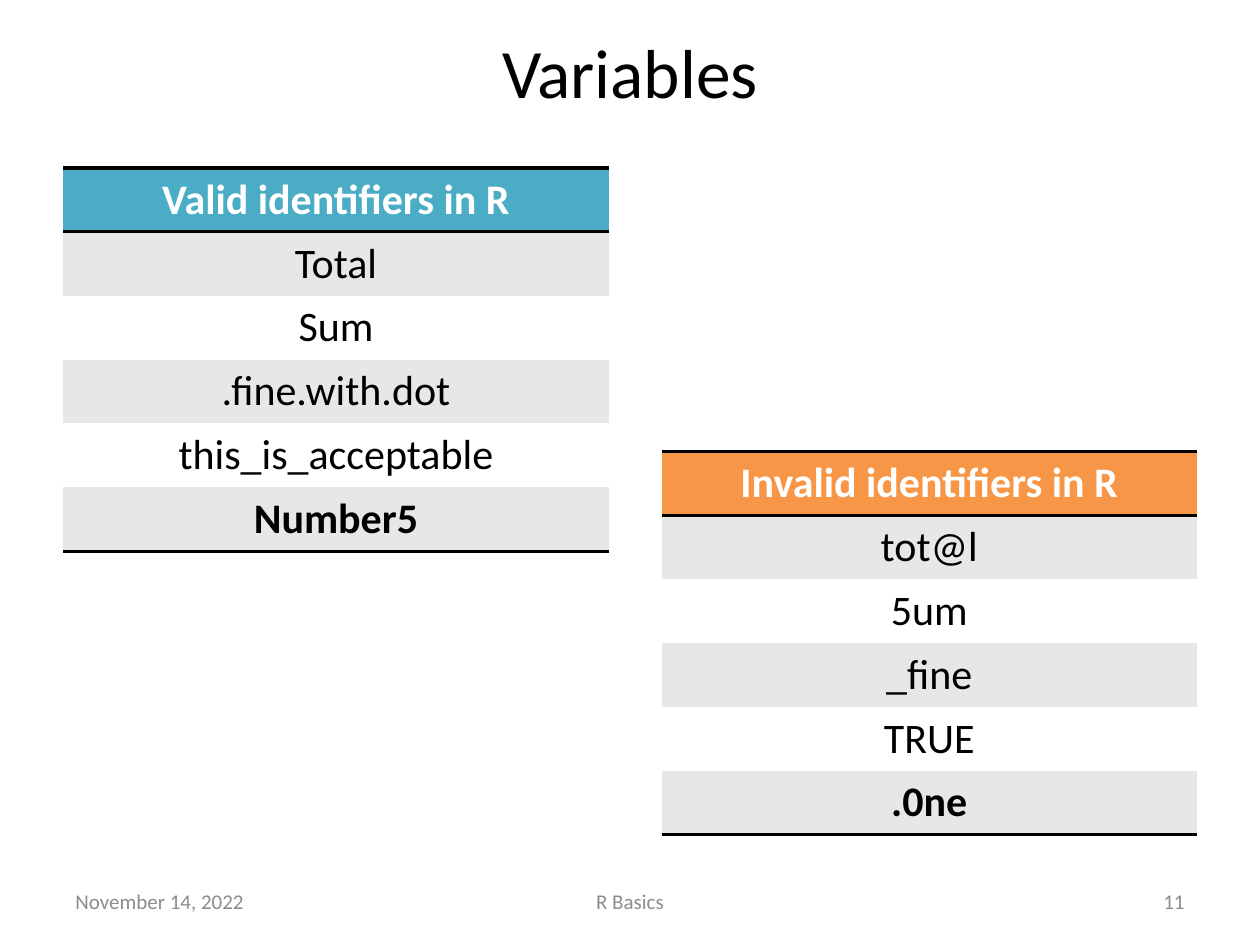
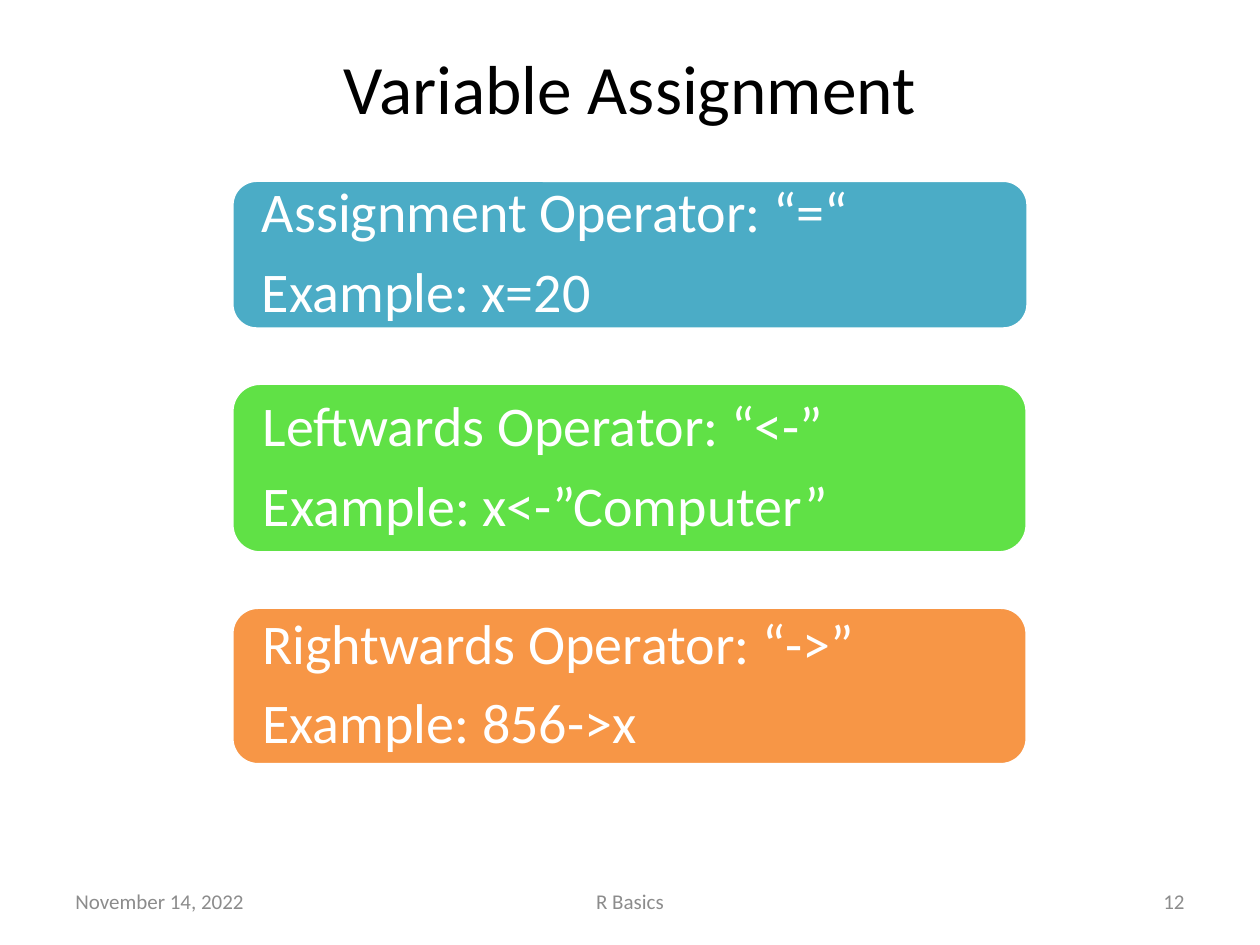
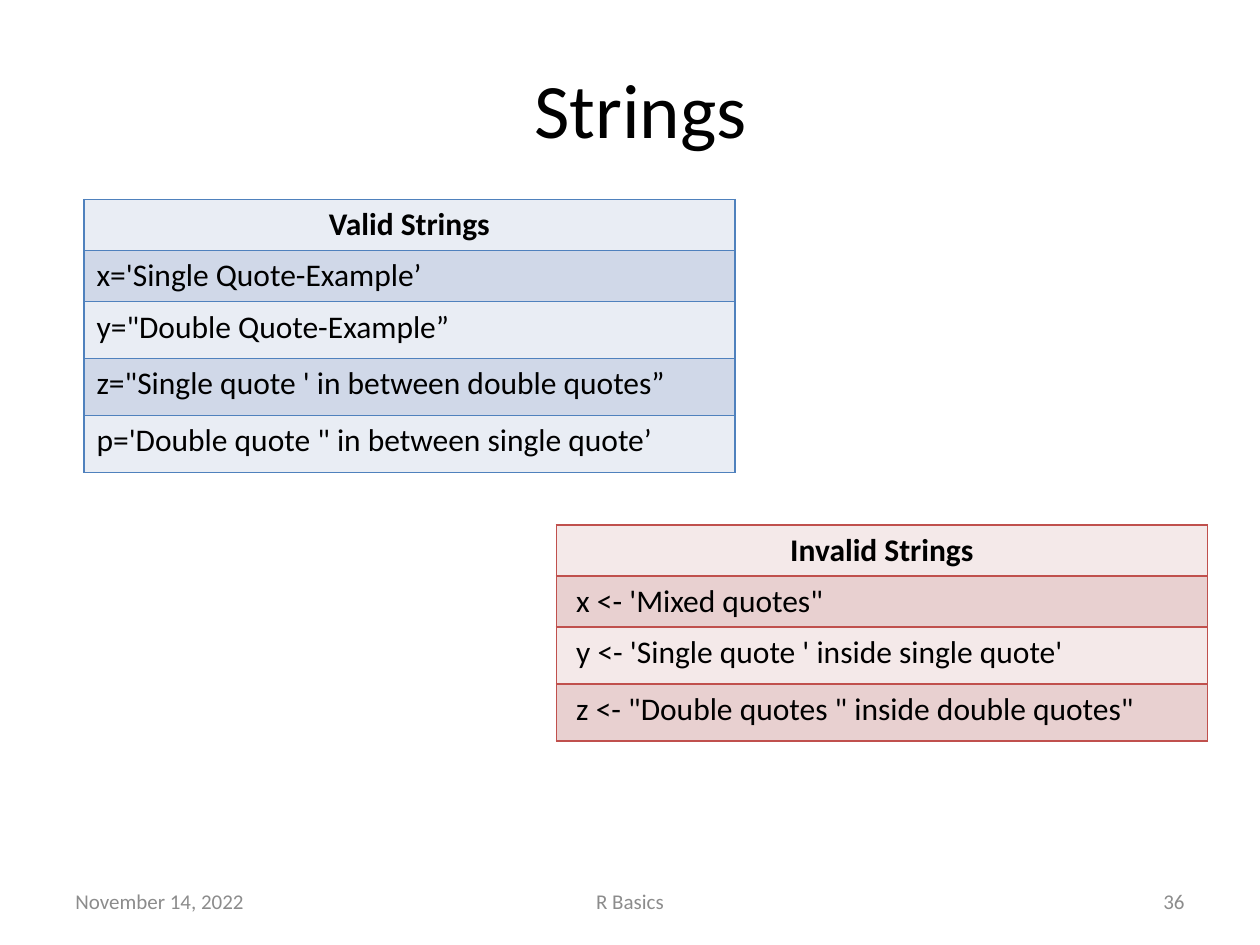
from lxml import etree
from pptx import Presentation
from pptx.dml.color import RGBColor
from pptx.enum.shapes import MSO_SHAPE
from pptx.enum.text import MSO_ANCHOR, PP_ALIGN
from pptx.oxml.ns import qn
from pptx.util import Pt

LEFT, CENTER, RIGHT = PP_ALIGN.LEFT, PP_ALIGN.CENTER, PP_ALIGN.RIGHT
MIDDLE = MSO_ANCHOR.MIDDLE
ROUNDED = MSO_SHAPE.ROUNDED_RECTANGLE

BLACK = RGBColor(0x00, 0x00, 0x00)
WHITE = RGBColor(0xFF, 0xFF, 0xFF)
GRAY = RGBColor(0x8C, 0x8C, 0x8C)
BAND = RGBColor(0xE7, 0xE7, 0xE7)
TEAL = RGBColor(0x4B, 0xAC, 0xC6)
GREEN = RGBColor(0x60, 0xE1, 0x46)
ORANGE = RGBColor(0xF7, 0x96, 0x46)
BLUE = RGBColor(0x4F, 0x81, 0xBD)
BLUE_PALE = RGBColor(0xE9, 0xED, 0xF4)
BLUE_BAND = RGBColor(0xD0, 0xD8, 0xE8)
RED = RGBColor(0xC0, 0x50, 0x4D)
RED_PALE = RGBColor(0xF4, 0xE9, 0xE9)
RED_BAND = RGBColor(0xE8, 0xD0, 0xD0)


class Deck:
    font = "Calibri"
    date = "November 14, 2022"
    topic = "R Basics"

    def __init__(self):
        self.prs = Presentation()
        self.prs.slide_width, self.prs.slide_height = Pt(720), Pt(540)
        self.s = None

    def slide(self, title, number, box, size=39.6):
        self.s = self.prs.slides.add_slide(self.prs.slide_layouts[6])
        self.text(title, box, size, BLACK, CENTER)
        for text, x, w, align in [(self.date, 36, 168, LEFT),
                                  (self.topic, 246, 228, CENTER),
                                  (number, 516, 168, RIGHT)]:
            self.text(text, (x, 500.4, w, 28.8), 12, GRAY, align)

    def run(self, p, text, size, color, align=LEFT, bold=False):
        p.alignment = align
        r = p.add_run()
        r.text = text
        r.font.name, r.font.size, r.font.bold = self.font, Pt(size), bold
        r.font.color.rgb = color

    def text(self, text, box, size, color, align):
        tf = self.s.shapes.add_textbox(*map(Pt, box)).text_frame
        tf.word_wrap = True
        tf.vertical_anchor = MIDDLE
        self.run(tf.paragraphs[0], text, size, color, align)

    def card(self, y, w, h, fill, lines):
        sp = self.s.shapes.add_shape(ROUNDED, Pt(132.5), Pt(y), Pt(w), Pt(h))
        sp.shadow.inherit = False
        sp.fill.solid()
        sp.fill.fore_color.rgb = fill
        sp.line.color.rgb = WHITE
        sp.line.width = Pt(2)
        tf = sp.text_frame
        tf.word_wrap = True
        tf.vertical_anchor = MIDDLE
        tf.margin_left = tf.margin_right = Pt(13)
        tf.margin_top = tf.margin_bottom = 0
        for i, line in enumerate(lines):
            p = tf.add_paragraph() if i else tf.paragraphs[0]
            p.line_spacing = 0.9
            p.space_after = Pt(11)
            self.run(p, line, 32, WHITE)

    def border(self, cell, side, color, width):
        ln = etree.SubElement(cell._tc.get_or_add_tcPr(), qn("a:ln" + side))
        if color is None:
            etree.SubElement(ln, qn("a:noFill"))
            return
        ln.set("w", str(Pt(width)))
        fill = etree.SubElement(ln, qn("a:solidFill"))
        etree.SubElement(fill, qn("a:srgbClr")).set("val", str(color))

    def table(self, x, y, w, heights, texts, fills, size, head_color, rule,
              width, grid, align=LEFT, indent=7.2):
        n = len(texts)
        frame = self.s.shapes.add_table(n, 1, Pt(x), Pt(y), Pt(w), Pt(sum(heights)))
        tbl = frame.table
        tbl.first_row = tbl.horz_banding = False
        ruled = range(n + 1) if grid else (0, 1, n)
        head, *bands = fills
        for i, (text, height) in enumerate(zip(texts, heights)):
            tbl.rows[i].height = Pt(height)
            cell = tbl.cell(i, 0)
            for side, shown in [("L", grid), ("R", grid),
                                ("T", i in ruled), ("B", i + 1 in ruled)]:
                self.border(cell, side, rule if shown else None, width)
            cell.fill.solid()
            cell.fill.fore_color.rgb = bands[(i - 1) % 2] if i else head
            cell.margin_left = Pt(indent if i else 7.2)
            bold = i == 0 or (not grid and i == n - 1)
            self.run(cell.text_frame.paragraphs[0], text, size,
                     BLACK if i else head_color, align if i else CENTER, bold)

    def identifiers(self, x, y, w, head, texts):
        self.table(x, y, w, [36.5] * len(texts), texts, (head, BAND, WHITE),
                   24, WHITE, BLACK, 2, False, CENTER)

    def strings(self, x, y, rule, pale, band, texts, indent=7.2):
        heights = [29.2] * 2 + [32.5] * (len(texts) - 2)
        self.table(x, y, 372, heights, texts, (pale, band, pale),
                   18, BLACK, rule, 1, True, indent=indent)


def main():
    deck = Deck()

    deck.slide("Variables", "11", (36, 21.6, 648, 38))
    deck.identifiers(36, 96, 312, TEAL, [
        "Valid identifiers in R", "Total", "Sum", ".fine.with.dot",
        "this_is_acceptable", "Number5"])
    deck.identifiers(378, 258, 306, ORANGE, [
        "Invalid identifiers in R", "tot@l", "5um", "_fine", "TRUE", ".0ne"])

    deck.slide("Variable Assignment", "12", (36, 21.6, 648, 56))
    deck.card(103, 455, 85, TEAL, ["Assignment Operator: “=“", "Example: x=20"])
    deck.card(219, 454.5, 97, GREEN,
              ["Leftwards Operator: “<-”", "Example: x<-”Computer”"])
    deck.card(347, 454.5, 90, ORANGE,
              ["Rightwards Operator: “->”", "Example: 856->x"])

    deck.slide("Strings", "36", (42, 30, 648, 63), 44)
    deck.strings(48, 114, BLUE, BLUE_PALE, BLUE_BAND, [
        "Valid Strings", "x='Single Quote-Example’", "y=\"Double Quote-Example”",
        "z=\"Single quote ' in between double quotes”",
        "p='Double quote \" in between single quote’"])
    deck.strings(318, 300, RED, RED_PALE, RED_BAND, [
        "Invalid Strings", "x <- 'Mixed quotes\"",
        "y <- 'Single quote ' inside single quote'",
        "z <- \"Double quotes \" inside double quotes\""], indent=11.3)

    deck.prs.save("out.pptx")


if __name__ == "__main__":
    main()
